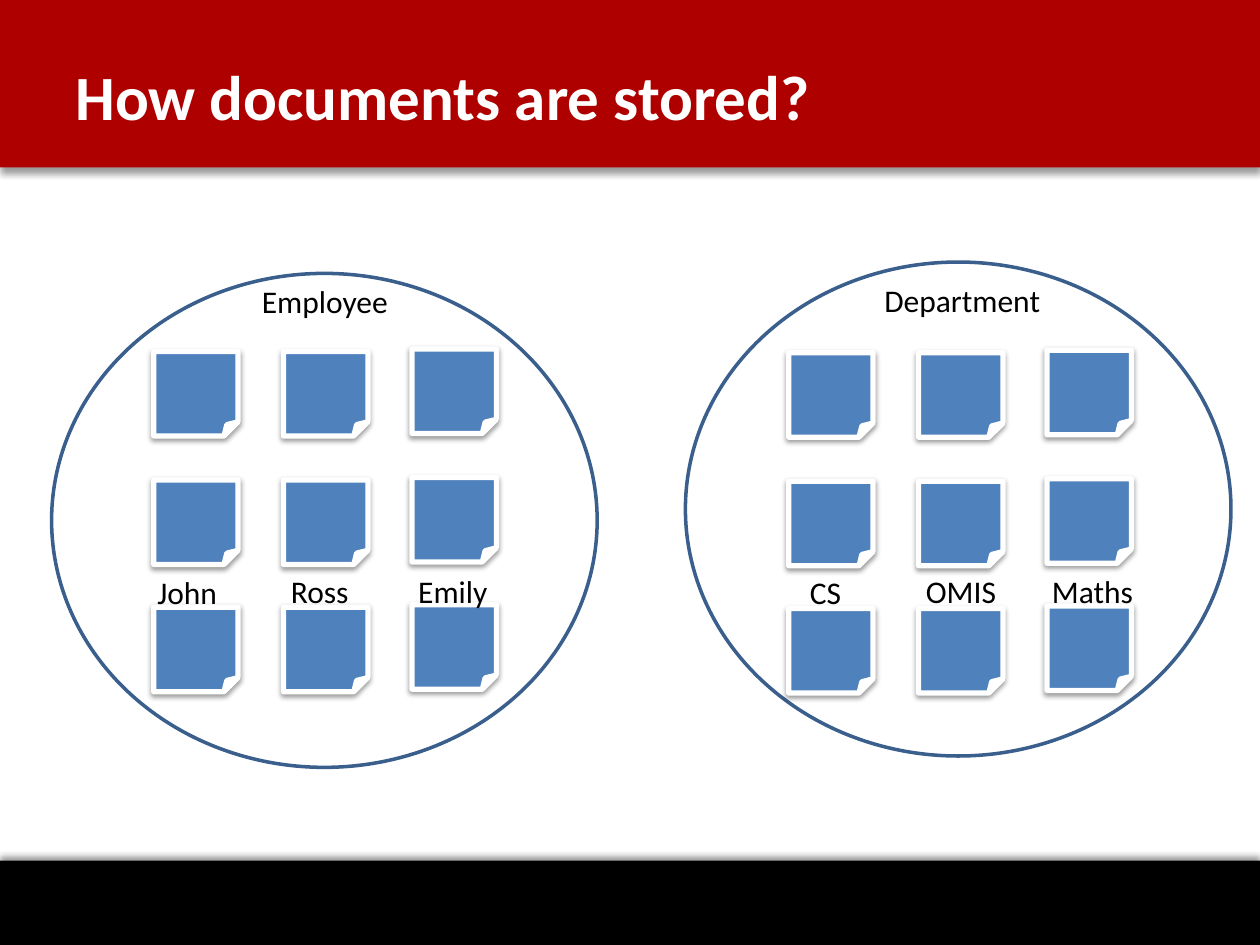
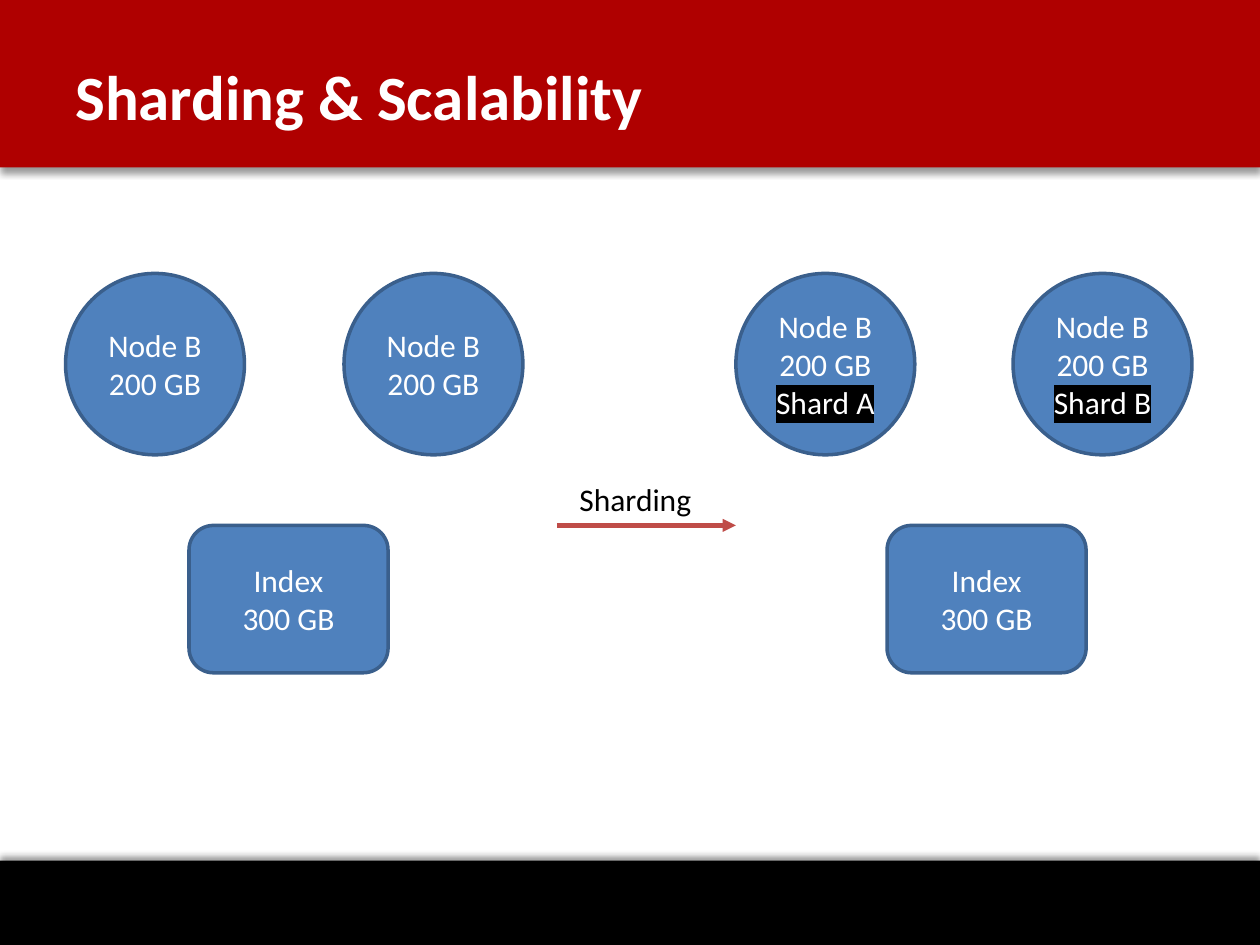
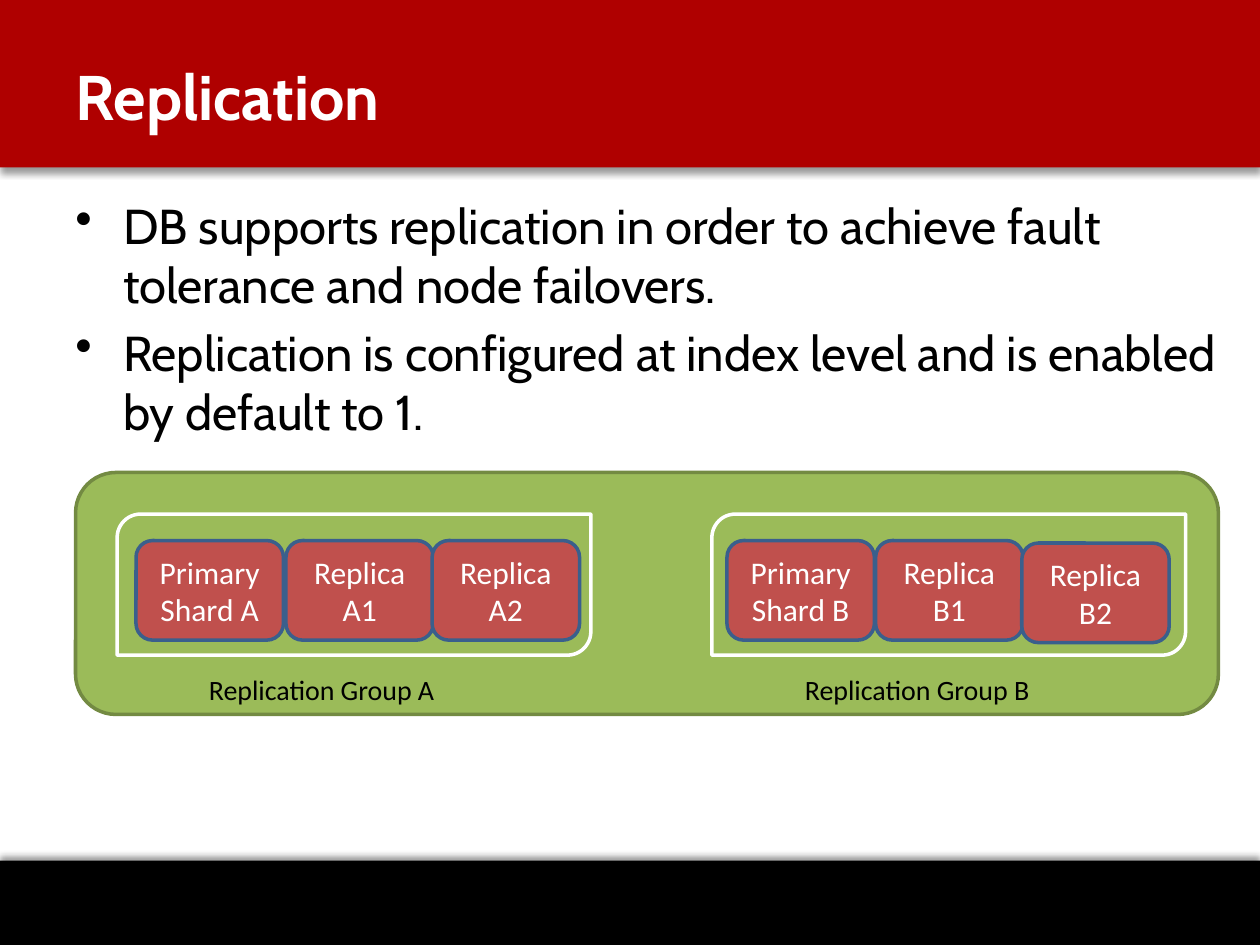
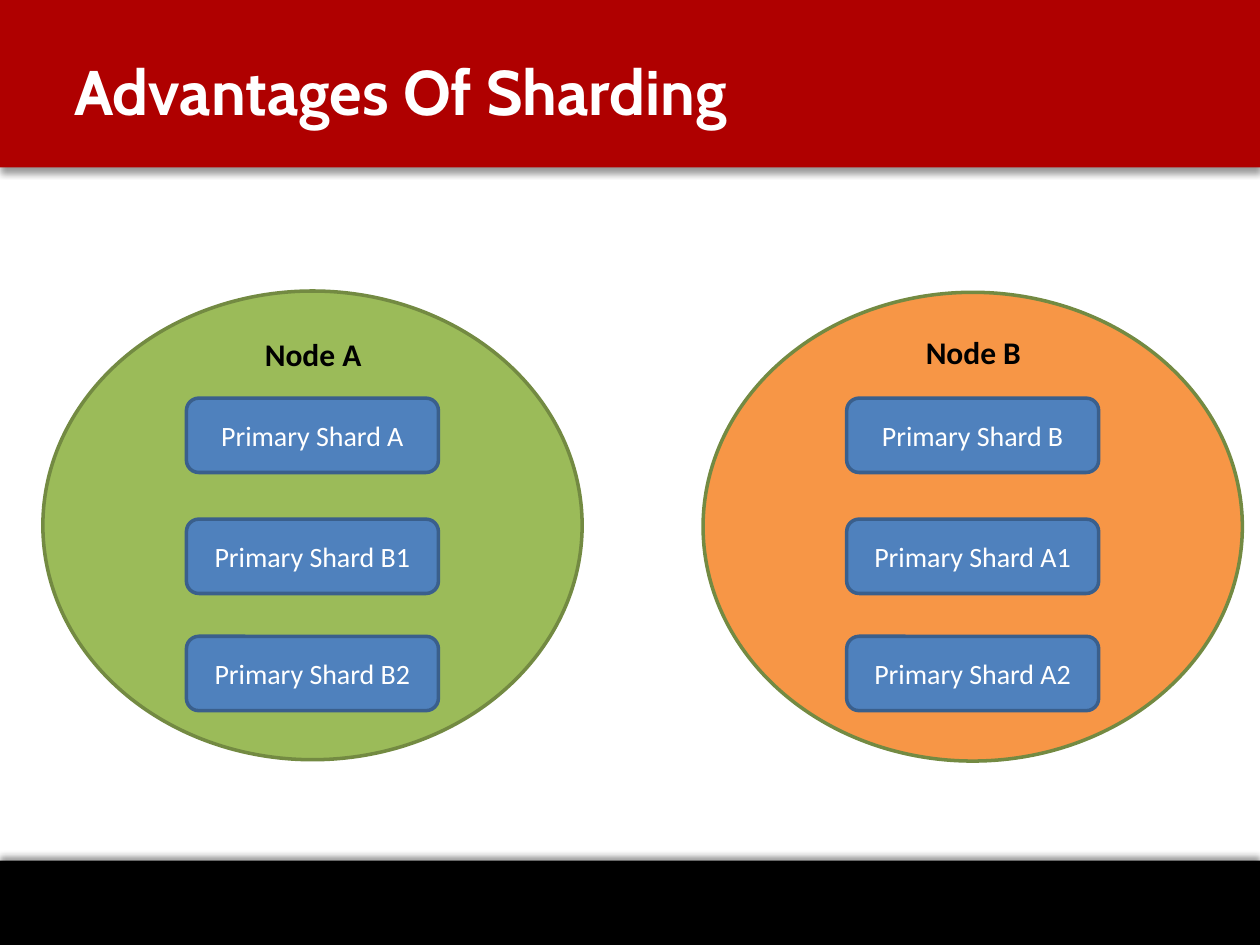
"""Build four slides on document storage, sharding and replication."""
from lxml import etree
from pptx import Presentation
from pptx.dml.color import RGBColor
from pptx.enum.shapes import MSO_CONNECTOR, MSO_SHAPE as SHAPE
from pptx.enum.text import MSO_ANCHOR as ANCHOR, MSO_AUTO_SIZE as FIT, PP_ALIGN as ALIGN
from pptx.oxml.ns import qn
from pptx.util import Inches, Pt

RED, BLACK, WHITE = "AF0000", "000000", "FFFFFF"
BLUE, NAVY = "4F81BD", "3A5F8C"
GREEN, OLIVE, ORANGE = "9BBB59", "738A42", "F79646"
BRICK, ARROW = "C0504D", "BF4C48"
BODY, HEAD = "Calibri", "Cabin"

FOOTER_SHADOW = (40, 4, 3, 270)
HEADER_SHADOW = (40, 4, 3, 90)
DOC_SHADOW = (38, 3.1, 1.6, 90)

COLLECTIONS = [
    {"oval": (5.44, 2.08), "docs": (6.26, 2.8),
     "labels": [("Department", 6.92, 2.18, 1.49), ("CS", 6.33, 4.5, 0.51),
                ("OMIS", 7.25, 4.49, 0.79), ("Maths", 8.25, 4.49, 0.94)]},
    {"oval": (0.41, 2.17), "docs": (1.22, 2.79),
     "labels": [("Employee", 1.98, 2.19, 1.37), ("John", 1.15, 4.5, 0.79),
                ("Ross", 2.21, 4.49, 0.79), ("Emily", 3.22, 4.49, 0.79)]},
]
DOC_COLUMNS = [(0, 0), (1.03, 0), (2.05, -0.02)]
DOC_ROWS = [0, 1.02, 2.03]

NODES = [(2.73, None), (0.52, None), (8.04, "Shard B"), (5.84, "Shard A")]
INDEX_LEFTS = [1.5, 7.04]

BULLETS = [
    "DB supports replication in order to achieve fault tolerance and node failovers.",
    "Replication is configured at index level and is enabled by default to 1.",
]
REPLICATION_GROUPS = [
    {"name": "A", "frame": 0.93, "label": 1.56, "shards": [(1.08, 4.29), (2.27, 4.29), (3.43, 4.29)]},
    {"name": "B", "frame": 5.65, "label": 6.29, "shards": [(5.77, 4.29), (6.95, 4.29), (8.11, 4.31)]},
]

SHARD_NODES = [
    {"name": "Node A", "left": 0.34, "top": 2.31, "label_top": 2.61, "fill": GREEN,
     "shards": ["A", "B1", "B2"]},
    {"name": "Node B", "left": 5.58, "top": 2.32, "label_top": 2.59, "fill": ORANGE,
     "shards": ["B", "A1", "A2"]},
]
SHARD_TOPS = [3.16, 4.12, 5.05]


def rgb(color):
    return RGBColor.from_string(color)


def add_xml(parent, tag, **attrs):
    return etree.SubElement(parent, qn(tag), {k: str(v) for k, v in attrs.items()})


def write(sp, lines, size, color, font=BODY, bold=False, align=ALIGN.LEFT, anchor=ANCHOR.TOP):
    tf = sp.text_frame
    tf.word_wrap = True
    tf.vertical_anchor = anchor
    for i, line in enumerate(lines):
        p = tf.paragraphs[0] if i == 0 else tf.add_paragraph()
        p.add_run().text = line
        p.alignment = align
        p.font.size, p.font.name, p.font.bold = Pt(size), font, bold
        p.font.color.rgb = rgb(color)
    return tf


def box(slide, kind, at, fill=None, line=None, width=2, lines=(), size=18, shadow=None):
    sp = slide.shapes.add_shape(kind, *map(Inches, at))
    sp.shadow.inherit = False
    if fill:
        sp.fill.solid()
        sp.fill.fore_color.rgb = rgb(fill)
    else:
        sp.fill.background()
    if line:
        sp.line.color.rgb = rgb(line)
        sp.line.width = Pt(width)
    else:
        sp.line.fill.background()
    if shadow:
        alpha, blur, dist, angle = shadow
        effects = sp.element.spPr.find(qn("a:effectLst"))
        outer = add_xml(effects, "a:outerShdw", blurRad=Pt(blur), dist=Pt(dist),
                        dir=angle * 60000, rotWithShape=0)
        add_xml(add_xml(outer, "a:srgbClr", val=BLACK), "a:alpha", val=alpha * 1000)
    if lines:
        write(sp, lines, size, WHITE, align=ALIGN.CENTER, anchor=ANCHOR.MIDDLE)
    return sp


def text(slide, at, lines, size, color=BLACK, **style):
    return write(slide.shapes.add_textbox(*map(Inches, at)), lines, size, color, **style)


def label(slide, at, line, size=18, **style):
    text(slide, at, [line], size, **style).auto_size = FIT.SHAPE_TO_FIT_TEXT


def new_slide(prs, title, font=BODY, at=(0.5, 0.17)):
    slide = prs.slides.add_slide(prs.slide_layouts[6])
    box(slide, SHAPE.RECTANGLE, (0, 6.83, 10, 0.67), BLACK, shadow=FOOTER_SHADOW)
    box(slide, SHAPE.RECTANGLE, (0, 0, 10, 1.33), RED, shadow=HEADER_SHADOW)
    text(slide, (*at, 8.25, 1.17), [title], 36, WHITE, font=font, bold=True, anchor=ANCHOR.MIDDLE)
    return slide


def storage_slide(prs):
    slide = new_slide(prs, "How documents are stored?")
    for group in COLLECTIONS:
        box(slide, SHAPE.OVAL, (*group["oval"], 4.33, 3.92), line=NAVY)
    for group in COLLECTIONS:
        left, top = group["docs"]
        for dy in DOC_ROWS:
            for dx, lift in DOC_COLUMNS:
                box(slide, SHAPE.FOLDED_CORNER, (left + dx, top + dy + lift, 0.67, 0.67),
                    BLUE, WHITE, 3, shadow=DOC_SHADOW)
    for group in COLLECTIONS:
        for name, x, y, w in group["labels"]:
            label(slide, (x, y, w, 0.4), name)


def sharding_slide(prs):
    slide = new_slide(prs, "Sharding & Scalability")
    for left, shard in NODES:
        lines = ["Node B", "200 GB"] + ([shard] if shard else [])
        sp = box(slide, SHAPE.OVAL, (left, 2.17, 1.42, 1.44), BLUE, NAVY, lines=lines)
        if shard:
            r = sp.text_frame.paragraphs[-1].runs[0]
            mark = add_xml(r._r.get_or_add_rPr(), "a:highlight")
            add_xml(mark, "a:srgbClr", val=BLACK)
    for left in INDEX_LEFTS:
        box(slide, SHAPE.ROUNDED_RECTANGLE, (left, 4.17, 1.58, 1.17), BLUE, NAVY,
            lines=["Index", "300 GB"])
    arrow = slide.shapes.add_connector(MSO_CONNECTOR.STRAIGHT, *map(Inches, (4.42, 4.17, 5.84, 4.17)))
    arrow.line.color.rgb = rgb(ARROW)
    arrow.line.width = Pt(2.5)
    add_xml(arrow.line._get_or_add_ln(), "a:tailEnd", type="triangle")
    add_xml(arrow.element.spPr, "a:effectLst")
    label(slide, (4.5, 3.76, 1.12, 0.4), "Sharding")


def replication_slide(prs):
    slide = new_slide(prs, "Replication", HEAD)
    tf = text(slide, (0.5, 1.5, 9.33, 5.08), BULLETS, 28, font=HEAD)
    for p in tf.paragraphs:
        p.space_before = Pt(5.6)
        pPr = p._p.get_or_add_pPr()
        pPr.set("marL", str(Inches(0.38)))
        pPr.set("indent", str(Inches(-0.38)))
        pPr.find(qn("a:defRPr")).addprevious(add_xml(pPr, "a:buChar", char="•"))
    box(slide, SHAPE.ROUNDED_RECTANGLE, (0.6, 3.75, 9.07, 1.92), GREEN, OLIVE)
    for group in REPLICATION_GROUPS:
        name = group["name"]
        captions = [["Primary", f"Shard {name}"], [f"Replica {name}1"], [f"Replica {name}2"]]
        for at, lines in zip(group["shards"], captions):
            box(slide, SHAPE.ROUNDED_RECTANGLE, (*at, 1.17, 0.79), BRICK, NAVY, lines=lines)
        box(slide, SHAPE.ROUND_2_DIAG_RECTANGLE, (group["frame"], 4.08, 3.76, 1.12), line=WHITE)
        label(slide, (group["label"], 5.29, 2.5, 0.37), f"Replication Group {name}", 16)


def advantages_slide(prs):
    slide = new_slide(prs, "Advantages Of Sharding", HEAD, (0.49, 0.13))
    for node in SHARD_NODES:
        left = node["left"]
        box(slide, SHAPE.OVAL, (left, node["top"], 4.28, 3.72), node["fill"], OLIVE)
        for top, shard in zip(SHARD_TOPS, node["shards"]):
            box(slide, SHAPE.ROUNDED_RECTANGLE, (left + 1.14, top, 2, 0.59), BLUE, NAVY,
                lines=[f"Primary Shard {shard}"], size=16)
        label(slide, (left + 1.3, node["label_top"], 1.69, 0.42), node["name"],
              bold=True, align=ALIGN.CENTER)


def main():
    prs = Presentation()
    prs.slide_width, prs.slide_height = Inches(10), Inches(7.5)
    for build in (storage_slide, sharding_slide, replication_slide, advantages_slide):
        build(prs)
    prs.save("out.pptx")


if __name__ == "__main__":
    main()
